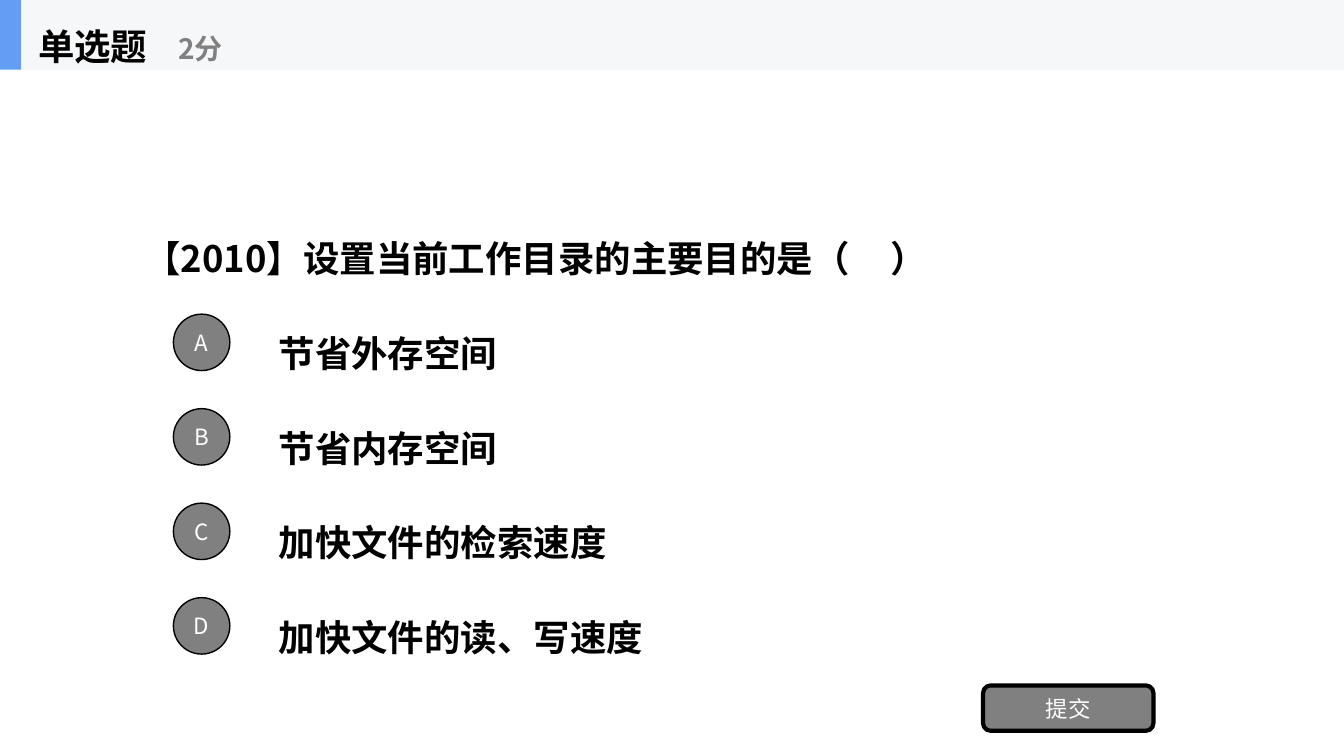
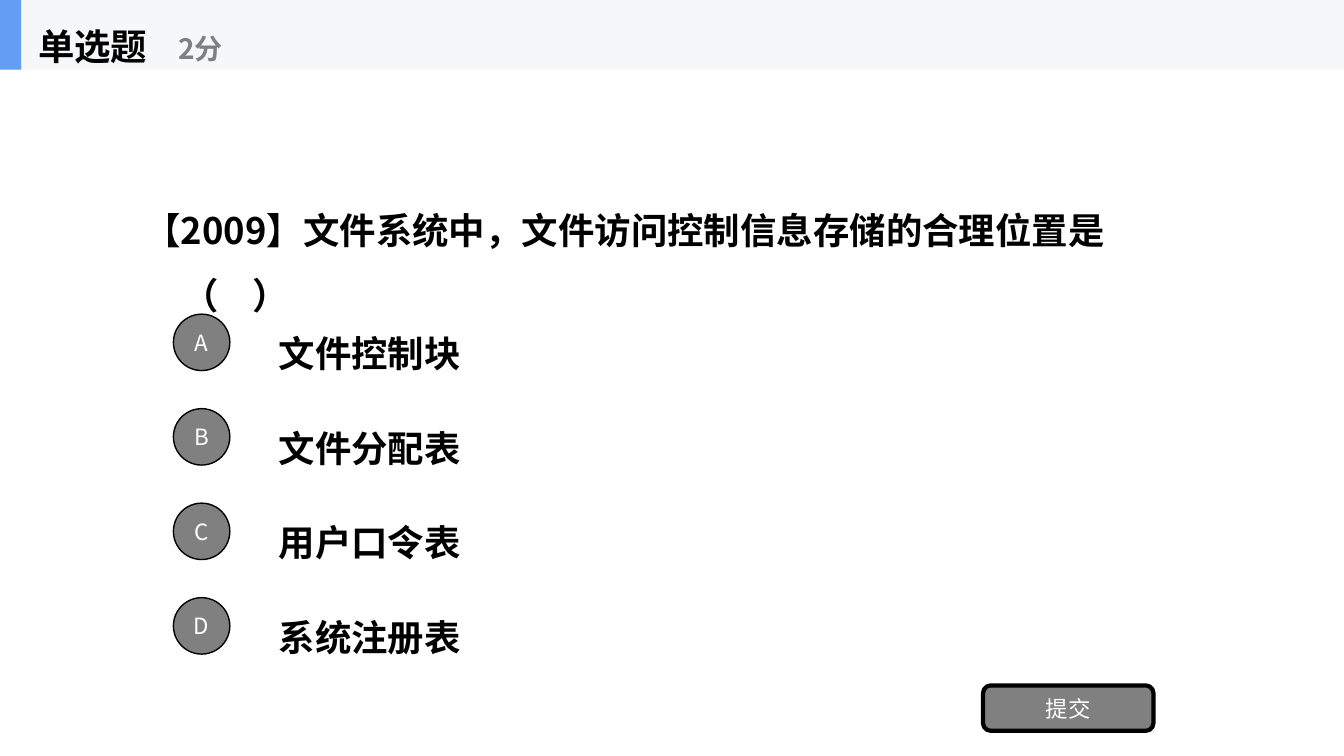
"""Build two single-choice quiz slides."""
import pptx
import pptx.util
import pptx.dml.color
import pptx.enum.shapes
import pptx.enum.text
import pptx.oxml
import pptx.oxml.ns

QUIZ = [
    {"ask": "【2010】设置当前工作目录的主要目的是（     ）", "top": 1.87,
     "picks": ["节省外存空间", "节省内存空间", "加快文件的检索速度", "加快文件的读、写速度"]},
    {"ask": "【2009】文件系统中，文件访问控制信息存储的合理位置是（    ）", "top": 1.96,
     "picks": ["文件控制块", "文件分配表", "用户口令表", "系统注册表"]},
]
KIND, SCORE, SEND = "单选题", "2分", "提交"

FACE = "Noto Sans CJK SC"
BLACK, WHITE, GRAY, PALE, BLUE = "000000", "FFFFFF", "808080", "F6F7F8", "639EF4"
HEAD = {"size": 26, "bold": True, "color": BLACK}
NOTE = {"size": 20, "bold": True, "color": GRAY}
LABEL = {"size": 16, "bold": False, "color": WHITE}

WIDE, HIGH = 13.33, 7.5
BAND = 0.69
STEP = HIGH / 8
FIRST = 3.25 * STEP
ROW, DOT = 0.7, 0.56
HANG = 0.38

SHAPE = pptx.enum.shapes.MSO_SHAPE
ALIGN = pptx.enum.text.PP_ALIGN
MIDDLE = pptx.enum.text.MSO_ANCHOR.MIDDLE
inch = pptx.util.Inches


def rgb(code):
    """Turn a hex string into a colour."""
    return pptx.dml.color.RGBColor.from_string(code)


def write(frame, text, look, hang=True):
    """Put one styled paragraph into a text frame."""
    frame.word_wrap = True
    frame.vertical_anchor = MIDDLE
    para = frame.paragraphs[0]
    if hang:
        para.line_spacing = 1.5
        props = para._p.get_or_add_pPr()
        props.set("marL", str(inch(HANG)))
        props.set("indent", str(-inch(HANG)))
    else:
        para.alignment = ALIGN.CENTER
    run = para.add_run()
    run.text = text
    marks = {"name": FACE, "size": pptx.util.Pt(look["size"]), "bold": look["bold"]}
    for key, value in marks.items():
        setattr(run.font, key, value)
    run.font.color.rgb = rgb(look["color"])
    east = pptx.oxml.parse_xml(
        f'<a:ea {pptx.oxml.ns.nsdecls("a")} typeface="{FACE}"/>')
    run.font._element.find(pptx.oxml.ns.qn("a:latin")).addnext(east)


def label(shapes, box, text, look):
    """Add a text box with a hanging indent."""
    write(shapes.add_textbox(*map(inch, box)).text_frame, text, look)


def block(shapes, kind, box, fill, edge=0, text=""):
    """Add a filled shape, with an edge and centred text if given."""
    shape = shapes.add_shape(kind, *map(inch, box))
    shape.shadow.inherit = False
    shape.fill.solid()
    shape.fill.fore_color.rgb = rgb(fill)
    if edge:
        shape.line.color.rgb = rgb(BLACK)
        shape.line.width = pptx.util.Pt(edge)
    else:
        shape.line.fill.background()
    if text:
        write(shape.text_frame, text, LABEL, hang=False)


def header(slide):
    """Draw the band with the question type and score."""
    shapes = slide.shapes.add_group_shape().shapes
    block(shapes, SHAPE.RECTANGLE, (0, 0, WIDE, BAND), PALE)
    block(shapes, SHAPE.RECTANGLE, (0, 0, 0.21, BAND), BLUE)
    label(shapes, (0.28, 0, 2.08, BAND), KIND, HEAD)
    label(shapes, (1.67, 0.12, 2.5, 0.56), SCORE, NOTE)


def build(slide, item):
    """Lay out one question with its options."""
    shapes = slide.shapes
    label(shapes, (WIDE / 10, item["top"], WIDE * 0.8, 3.03 - item["top"]),
          item["ask"], HEAD)
    for row, (mark, pick) in enumerate(zip("ABCD", item["picks"])):
        top = FIRST + row * STEP
        label(shapes, (WIDE / 5, top, WIDE * 0.7, ROW), pick, HEAD)
        block(shapes, SHAPE.OVAL, (1.72, top + (ROW - DOT) / 2, DOT, DOT),
              GRAY, 1, mark)
    block(shapes, SHAPE.ROUNDED_RECTANGLE, (9.75, 6.8, 1.69, 0.45), GRAY, 3, SEND)
    header(slide)


def main():
    """Make the deck and save it."""
    deck = pptx.Presentation()
    deck.slide_width, deck.slide_height = inch(WIDE), inch(HIGH)
    for item in QUIZ:
        build(deck.slides.add_slide(deck.slide_layouts[6]), item)
    deck.save("out.pptx")


if __name__ == "__main__":
    main()
